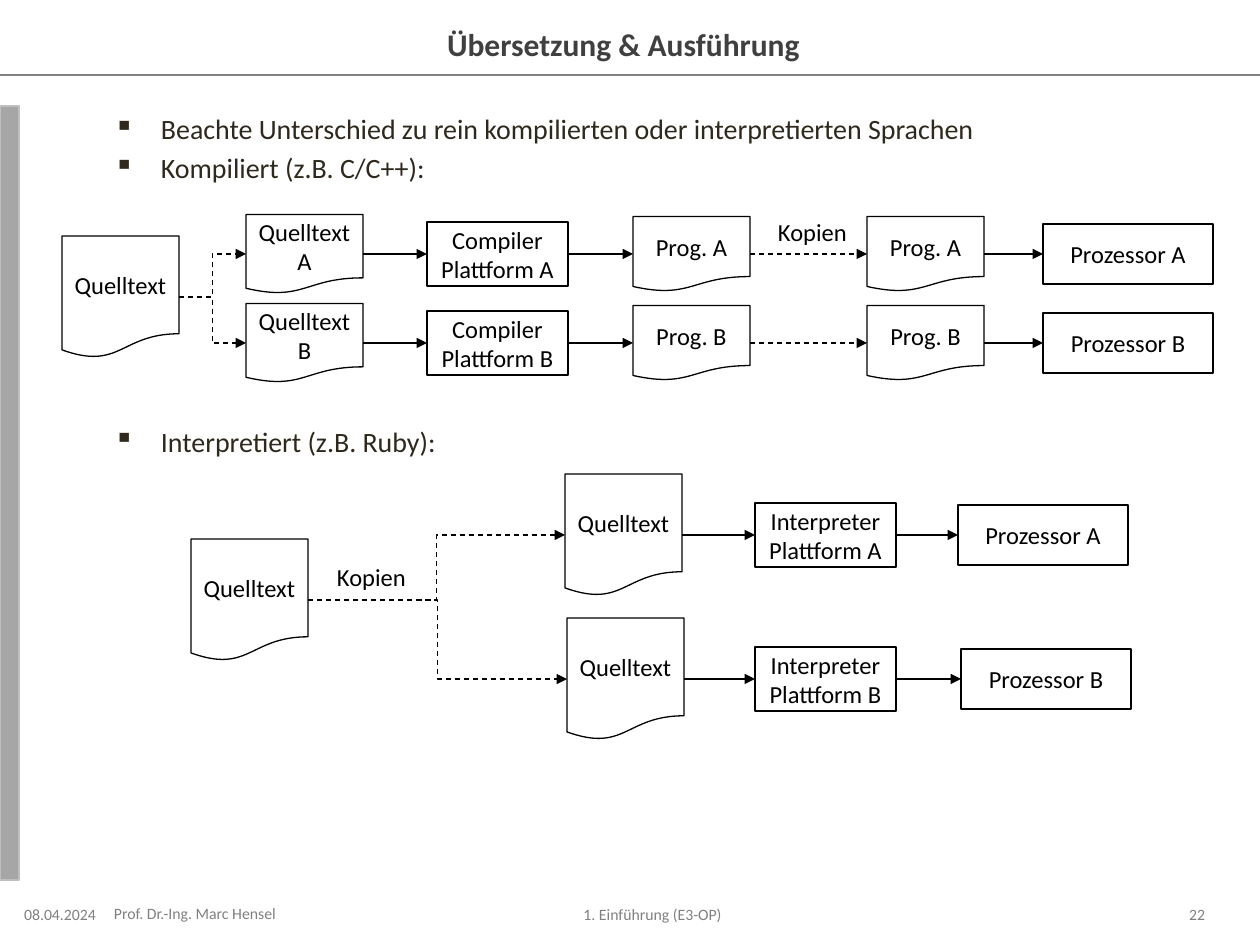
from dataclasses import dataclass

from lxml import etree
from pptx import Presentation
from pptx import util as u
from pptx.dml.color import RGBColor
from pptx.enum import dml, shapes, text
from pptx.oxml.ns import qn

SCALE = 914400 / 126  # EMU in one px
TITLE_INSETS = (0, 6, 13, 6)
SHAPE_INSETS = (10, 6, 10, 6)
LABEL_INSETS = (5, 6, 5, 6)


@dataclass(frozen=True)
class Theme:
    font: str = "Calibri"
    ink: str = "000000"
    paper: str = "FFFFFF"
    title: str = "404040"
    body: str = "2F291D"
    muted: str = "808080"
    bar: str = "A6A6A6"
    bar_edge: str = "BFBFBF"
    title_size: int = 18
    body_size: int = 16
    shape_size: int = 14
    footer_size: int = 9
    line_width: float = 0.75


THEME = Theme()
DOCUMENT = shapes.MSO_SHAPE.FLOWCHART_DOCUMENT
RECTANGLE = shapes.MSO_SHAPE.RECTANGLE
LEFT, CENTER, RIGHT = text.PP_ALIGN.LEFT, text.PP_ALIGN.CENTER, text.PP_ALIGN.RIGHT


def px(length):
    return u.Emu(round(length * SCALE))


def color(value):
    return RGBColor.from_string(value)


def write(shape, words, size=THEME.shape_size, ink=THEME.ink, bold=False,
          align=CENTER, anchor=text.MSO_ANCHOR.MIDDLE, insets=SHAPE_INSETS):
    """Fill a shape with one paragraph for each line of words."""
    frame = shape.text_frame
    frame.word_wrap = True
    frame.vertical_anchor = anchor
    frame.margin_left, frame.margin_top, frame.margin_right, frame.margin_bottom = map(px, insets)
    for index, line in enumerate(words.split("\n")):
        para = frame.add_paragraph() if index else frame.paragraphs[0]
        para.alignment = align
        span = para.add_run()
        span.text = line
        span.font.name = THEME.font
        span.font.size = u.Pt(size)
        span.font.bold = bold
        span.font.color.rgb = color(ink)
    return frame


def add_text(page, area, words, **style):
    box = page.shapes.add_textbox(*map(px, area))
    return write(box, words, **style)


def add_box(page, kind, area, words="", fill=THEME.paper, edge=THEME.ink):
    box = page.shapes.add_shape(kind, *map(px, area))
    box.shadow.inherit = False
    box.fill.solid()
    box.fill.fore_color.rgb = color(fill)
    box.line.color.rgb = color(edge)
    box.line.width = u.Pt(THEME.line_width)
    if words:
        write(box, words)
    return box


def add_line(page, kind=shapes.MSO_CONNECTOR.STRAIGHT, ends=(0, 0, 0, 0),
             ink=THEME.ink, dashed=False, arrow=False):
    line = page.shapes.add_connector(kind, *map(px, ends))
    line.line.color.rgb = color(ink)
    line.line.width = u.Pt(THEME.line_width)
    if dashed:
        line.line.dash_style = dml.MSO_LINE.DASH
    if arrow:
        etree.SubElement(line.get_or_add_ln(), qn("a:tailEnd"), type="triangle")
    etree.SubElement(line._element.spPr, qn("a:effectLst"))
    return line


def join(page, start, end, **style):
    """Run an arrow from the right side of start to the left side of end."""
    line = add_line(page, arrow=True, **style)
    line.begin_connect(start, 3)
    line.end_connect(end, 1)


def add_chain(page, middle, steps, dashed_after=None):
    """Join steps (kind, left, width, height, words) centred on one height; return the first."""
    boxes = [add_box(page, kind, (left, middle - height / 2, width, height), words)
             for kind, left, width, height, words in steps]
    for index, (start, end) in enumerate(zip(boxes, boxes[1:])):
        join(page, start, end, dashed=index == dashed_after)
    return boxes[0]


def add_source(page, left, top, branches):
    """Draw the common source text and its copies on each branch."""
    source = add_box(page, DOCUMENT, (left, top, 117, 122), "Quelltext")
    for branch in branches:
        join(page, source, branch, kind=shapes.MSO_CONNECTOR.ELBOW, dashed=True)


def add_bullets(page, area, items):
    """List items of (words, space before in points)."""
    frame = add_text(page, area, "\n".join(words for words, _ in items),
                     size=THEME.body_size, ink=THEME.body, align=LEFT,
                     anchor=text.MSO_ANCHOR.TOP, insets=TITLE_INSETS)
    for para, (_, gap) in zip(frame.paragraphs, items):
        para.space_before = u.Pt(gap)
        props = para._p.get_or_add_pPr()
        props.set("marL", str(px(47)))
        props.set("indent", str(-px(47)))
        etree.SubElement(props, qn("a:buChar"), char="▪")


def add_frame(page):
    add_line(page, ends=(0, 75, 1260, 75), ink=THEME.muted)
    add_box(page, RECTANGLE, (0, 106, 19, 774), fill=THEME.bar, edge=THEME.bar_edge)
    add_text(page, (156, 19, 948, 49), "Übersetzung & Ausführung", size=THEME.title_size,
             ink=THEME.title, bold=True, insets=TITLE_INSETS)
    footers = [
        ((19, 904, 95, 20), "08.04.2024", CENTER, TITLE_INSETS),
        ((114, 904, 189, 19), "Prof. Dr.-Ing. Marc Hensel", LEFT, TITLE_INSETS),
        ((312, 905, 694, 19), "1. Einführung (E3-OP)", CENTER, TITLE_INSETS),
        ((1124, 905, 81, 19), "22", RIGHT, (13, 6, 0, 6)),
    ]
    for area, words, align, insets in footers:
        add_text(page, area, words, size=THEME.footer_size, ink=THEME.muted,
                 align=align, insets=insets)


def add_compiled(page):
    branches = [
        add_chain(page, middle, [
            (DOCUMENT, 246, 117, 79, f"Quelltext\n{name}"),
            (RECTANGLE, 427, 141, 64, f"Compiler\nPlattform {name}"),
            (DOCUMENT, 633, 117, 75, f"Prog. {name}"),
            (DOCUMENT, 867, 117, 75, f"Prog. {name}"),
            (RECTANGLE, 1043, 170, 60, f"Prozessor {name}"),
        ], dashed_after=2)
        for name, middle in (("A", 254), ("B", 343))
    ]
    add_source(page, 62, 236, branches)
    add_text(page, (737, 212, 151, 39), "Kopien", insets=LABEL_INSETS)


def add_interpreted(page):
    branches = [
        add_chain(page, middle, [
            (DOCUMENT, source_left, 117, 122, "Quelltext"),
            (RECTANGLE, 755, 141, 64, f"Interpreter\nPlattform {name}"),
            (RECTANGLE, processor_left, 170, 60, f"Prozessor {name}"),
        ])
        for name, middle, source_left, processor_left in (("A", 535, 565, 958),
                                                          ("B", 679, 567, 961))
    ]
    add_source(page, 191, 539, branches)
    add_text(page, (296, 557, 151, 39), "Kopien", insets=LABEL_INSETS)


def main():
    deck = Presentation()
    deck.slide_width, deck.slide_height = px(1260), px(945)
    page = deck.slides.add_slide(deck.slide_layouts[6])
    add_frame(page)
    add_bullets(page, (114, 106, 1091, 774), [
        ("Beachte Unterschied zu rein kompilierten oder interpretierten Sprachen", 3),
        ("Kompiliert (z.B. C/C++):", 3),
        ("Interpretiert (z.B. Ruby):", 137),
    ])
    add_compiled(page)
    add_interpreted(page)
    deck.save("out.pptx")


if __name__ == "__main__":
    main()
